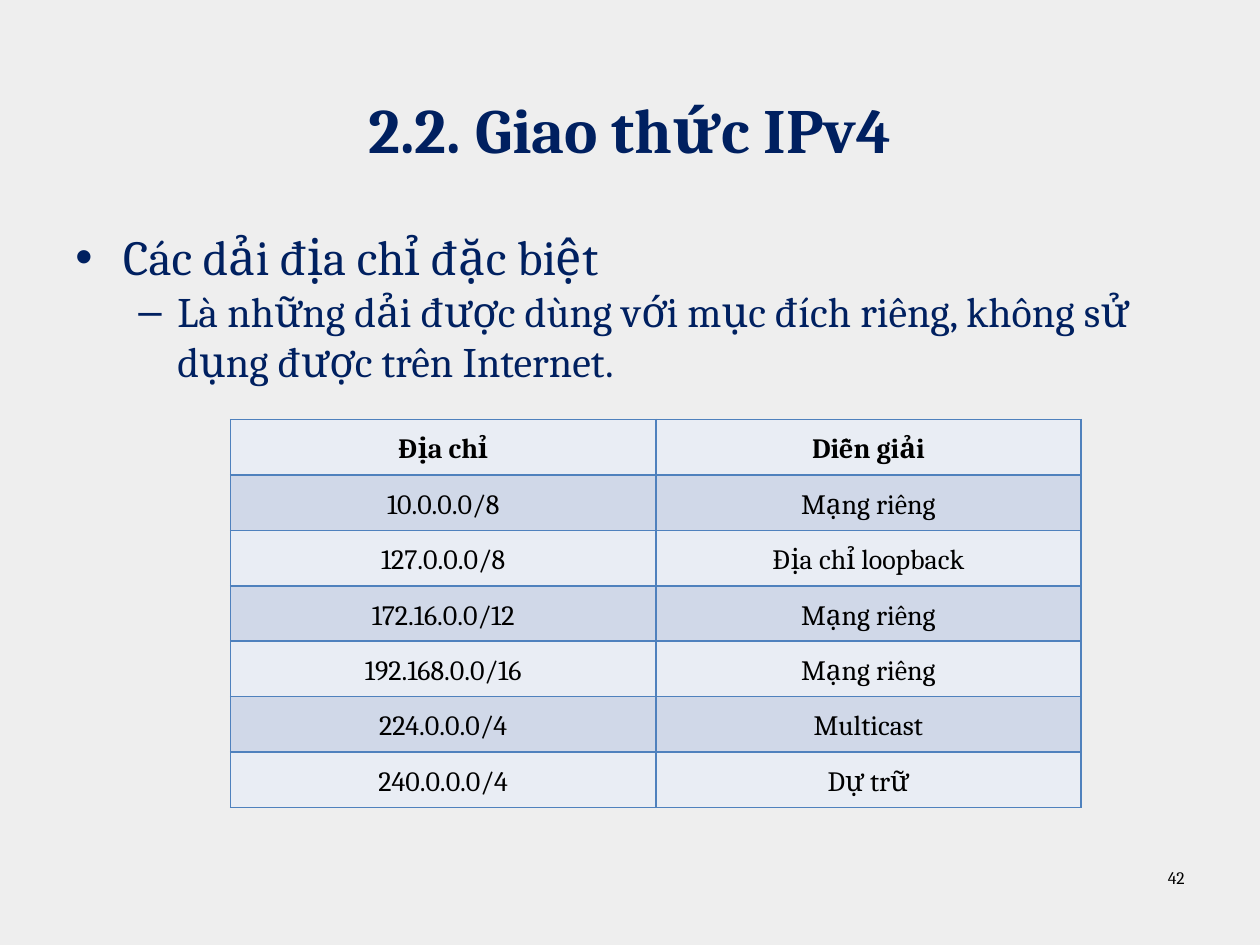
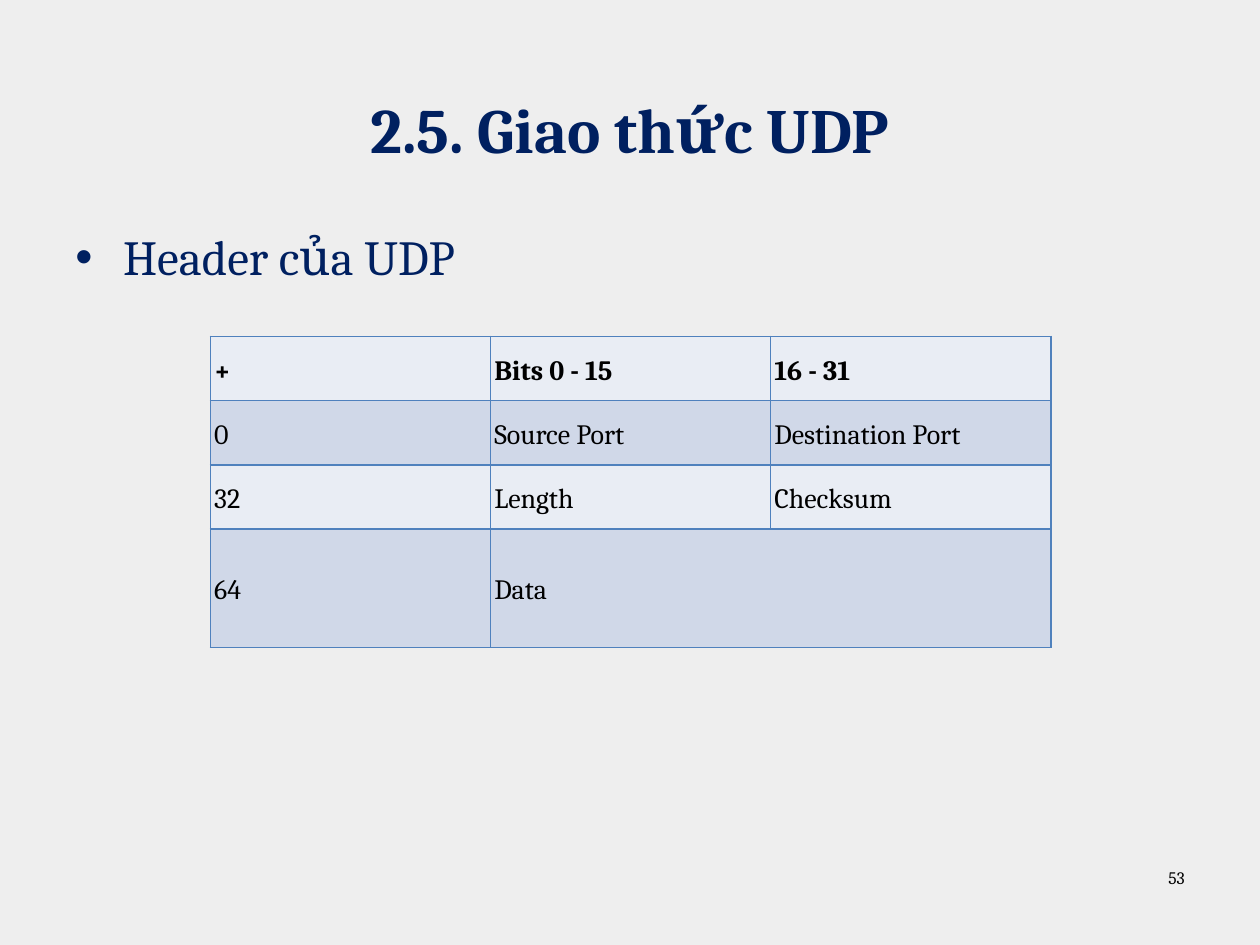
import pptx
import pptx.util
import pptx.dml.color
import pptx.enum.text
import pptx.oxml.ns
from lxml import etree

Inches = pptx.util.Inches
Pt = pptx.util.Pt
Align = pptx.enum.text.PP_ALIGN
Anchor = pptx.enum.text.MSO_ANCHOR
qn = pptx.oxml.ns.qn

COLORS = {"back": "EEEEEE", "navy": "002060", "black": "000000",
          "edge": "4F81BD", "pale": "E9EDF4", "band": "D0D8E8"}
FONT = "Cambria"
# Bullet sign, text size, left margin and hang for each level
LEVELS = [("•", 28, 0.38, 0.38), ("–", 24, 0.81, 0.31)]


def rgb(name):
    return pptx.dml.color.RGBColor.from_string(COLORS[name])


class Deck:
    def __init__(self):
        self.prs = pptx.Presentation()
        self.prs.slide_width = Inches(10)
        self.prs.slide_height = Inches(7.5)
        self.slide = None

    def style(self, para, size, color, bold=False, align=None):
        para.alignment = align
        for run in para.runs:
            run.font.name = FONT
            run.font.size = Pt(size)
            run.font.bold = bold
            run.font.color.rgb = rgb(color)

    def start(self, title, number):
        """Add a slide with its background, title and page number."""
        self.slide = self.prs.slides.add_slide(self.prs.slide_layouts[5])
        fill = self.slide.background.fill
        fill.solid()
        fill.fore_color.rgb = rgb("back")

        head = self.slide.shapes.title
        head.left, head.top = Inches(0.5), Inches(0.39)
        head.width, head.height = Inches(9), Inches(1.25)
        head.text_frame.text = title
        head.text_frame.vertical_anchor = Anchor.MIDDLE
        self.style(head.text_frame.paragraphs[0], 36, "navy", True, Align.CENTER)

        frame = self.box(7.17, 6.83, 2.33, 0.52)
        frame.text = str(number)
        self.style(frame.paragraphs[0], 10, "black", align=Align.RIGHT)

    def box(self, left, top, width, height):
        shape = self.slide.shapes.add_textbox(
            Inches(left), Inches(top), Inches(width), Inches(height))
        shape.text_frame.word_wrap = True
        return shape.text_frame

    def body(self, lines):
        """Write one bullet per line, each a level deeper."""
        frame = self.box(0.5, 1.75, 8.83, 5.25)
        frame.text = "\n".join(lines)
        for level, para in enumerate(frame.paragraphs):
            sign, size, margin, hang = LEVELS[level]
            para.level = level
            self.style(para, size, "navy")
            props = para._p.get_or_add_pPr()
            props.set("marL", str(Inches(margin)))
            props.set("indent", str(-Inches(hang)))
            font = etree.SubElement(props, qn("a:buFont"))
            font.set("typeface", "Arial")
            etree.SubElement(props, qn("a:buChar")).set("char", sign)

    def border(self, cell):
        props = cell._tc.get_or_add_tcPr()
        for side in ("lnL", "lnR", "lnT", "lnB"):
            line = etree.SubElement(props, qn("a:" + side), w=str(Pt(1)))
            fill = etree.SubElement(line, qn("a:solidFill"))
            etree.SubElement(fill, qn("a:srgbClr"), val=COLORS["edge"])

    def table(self, rows, left, top, width, heights, align, pad, after=0):
        """Draw a banded grid; None joins a cell to the one on its left."""
        count = len(rows[0])
        grid = self.slide.shapes.add_table(
            len(rows), count, Inches(left), Inches(top),
            Inches(width), Inches(sum(heights))).table
        grid.first_row = grid.horz_banding = False
        for col in grid.columns:
            col.width = Inches(width / count)
        for r, texts in enumerate(rows):
            grid.rows[r].height = Inches(heights[r])
            for c, text in enumerate(texts):
                cell = grid.cell(r, c)
                self.border(cell)
                cell.fill.solid()
                cell.fill.fore_color.rgb = rgb("band" if r % 2 else "pale")
                if text is None:
                    grid.cell(r, c - 1).merge(cell)
                    continue
                cell.vertical_anchor = Anchor.MIDDLE
                cell.margin_left = cell.margin_right = Inches(pad[0])
                cell.margin_top = cell.margin_bottom = Inches(pad[1])
                cell.text_frame.text = text
                para = cell.text_frame.paragraphs[0]
                para.line_spacing = 1.15
                para.space_before = Pt(5)
                para.space_after = Pt(after)
                self.style(para, 16, "black", r == 0, align)


def main():
    deck = Deck()

    # Special address ranges
    deck.start("2.2. Giao thức IPv4", 42)
    deck.body(["Các dải địa chỉ đặc biệt",
               "Là những dải được dùng với mục đích riêng, "
               "không sử dụng được trên Internet."])
    ranges = [("Địa chỉ", "Diễn giải"),
              ("10.0.0.0/8", "Mạng riêng"),
              ("127.0.0.0/8", "Địa chỉ loopback"),
              ("172.16.0.0/12", "Mạng riêng"),
              ("192.168.0.0/16", "Mạng riêng"),
              ("224.0.0.0/4", "Multicast"),
              ("240.0.0.0/4", "Dự trữ")]
    deck.table(ranges, 1.83, 3.33, 6.75, [0.44] * len(ranges),
               Align.CENTER, (0.07, 0), after=5)

    # Header layout
    deck.start("2.5. Giao thức UDP", 53)
    deck.body(["Header của UDP"])
    fields = [("+", "Bits 0 - 15", "16 - 31"),
              ("0", "Source Port", "Destination Port"),
              ("32", "Length", "Checksum"),
              ("64", "Data", None)]
    deck.table(fields, 1.67, 2.67, 6.67, [0.51] * 3 + [0.94],
               Align.JUSTIFY, (0.03, 0.03))

    deck.prs.save("out.pptx")


if __name__ == "__main__":
    main()
